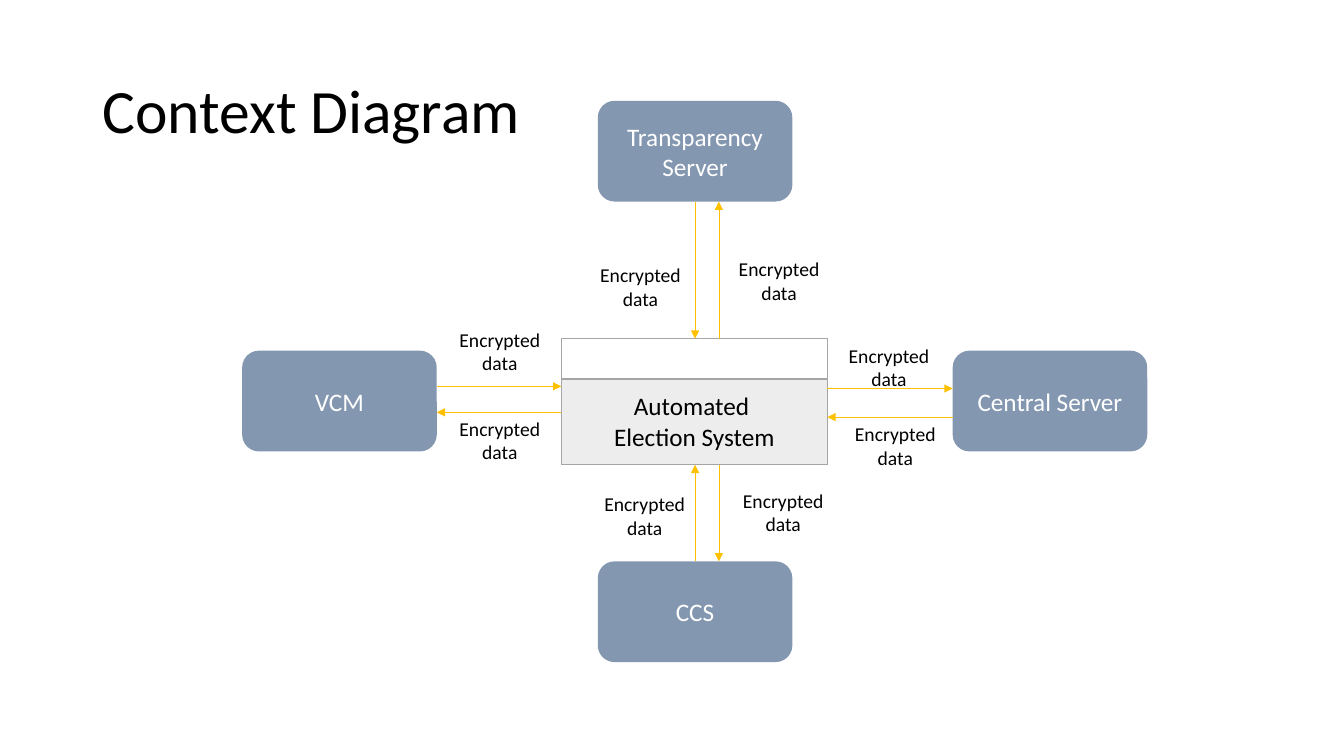
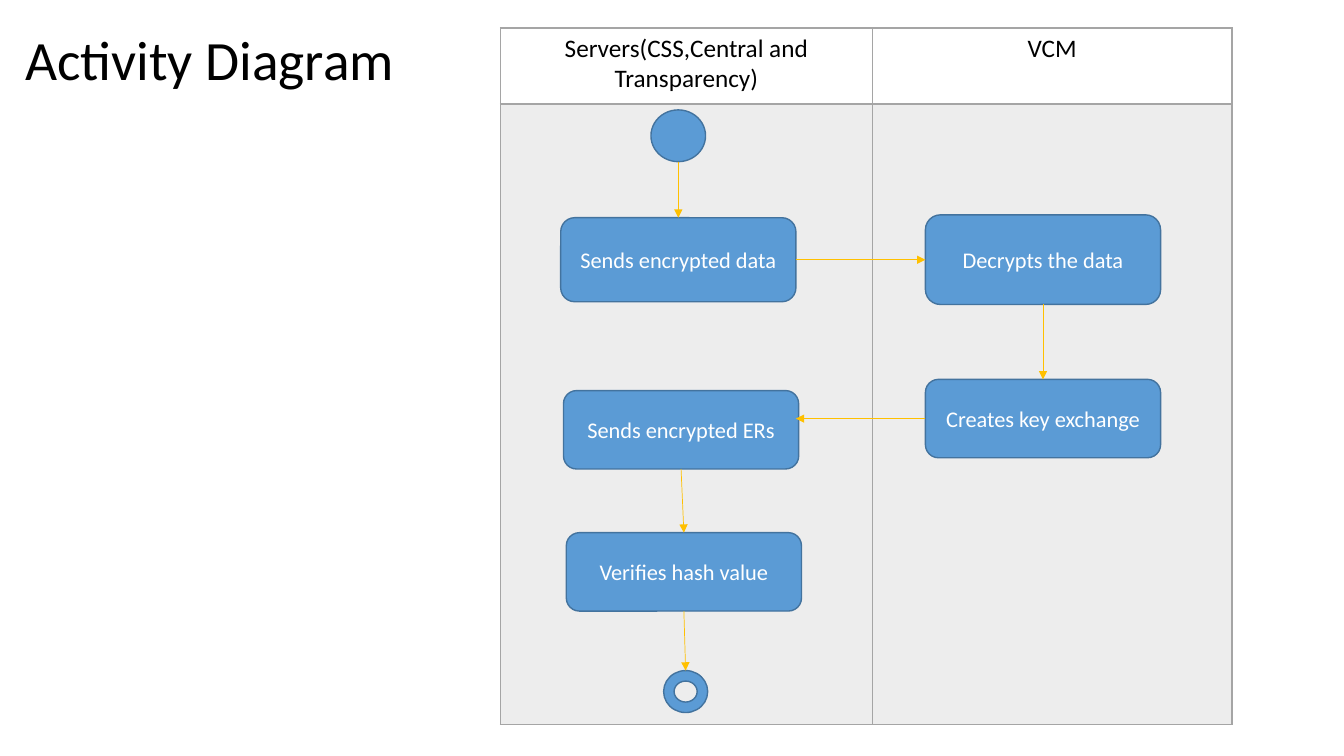
from lxml import etree
from pptx import Presentation
from pptx.dml.color import RGBColor
from pptx.enum.shapes import MSO_CONNECTOR, MSO_SHAPE
from pptx.enum.text import MSO_ANCHOR, PP_ALIGN
from pptx.oxml.ns import qn
from pptx.util import Pt

ROUND, OVAL, DONUT = MSO_SHAPE.ROUNDED_RECTANGLE, MSO_SHAPE.OVAL, MSO_SHAPE.DONUT
STRAIGHT = MSO_CONNECTOR.STRAIGHT
LEFT, CENTER = PP_ALIGN.LEFT, PP_ALIGN.CENTER
TOP, MIDDLE = MSO_ANCHOR.TOP, MSO_ANCHOR.MIDDLE

BLACK = RGBColor(0x00, 0x00, 0x00)
WHITE = RGBColor(0xFF, 0xFF, 0xFF)
GRAY = RGBColor(0xA5, 0xA5, 0xA5)
PALE = RGBColor(0xED, 0xED, 0xED)
SLATE = RGBColor(0x84, 0x97, 0xB0)
BLUE = RGBColor(0x5B, 0x9B, 0xD5)
NAVY = RGBColor(0x43, 0x73, 0x9E)
GOLD = RGBColor(0xFF, 0xC0, 0x00)

FONT = "Calibri"
TOP_SIDE, LEFT_SIDE, BOTTOM_SIDE, RIGHT_SIDE = range(4)


class Deck:
    """Holds the style and the current slide; all lengths are points."""

    def __init__(self):
        self.show = Presentation()
        self.show.slide_width, self.show.slide_height = Pt(960), Pt(540)
        self.slide = None

    def page(self):
        self.slide = self.show.slides.add_slide(self.show.slide_layouts[6])

    def put_lines(self, frame, lines, size, color=BLACK, align=CENTER):
        for i, line in enumerate(lines):
            para = frame.paragraphs[0] if i == 0 else frame.add_paragraph()
            para.alignment = align
            run = para.add_run()
            run.text = line
            run.font.name, run.font.size = FONT, Pt(size)
            run.font.color.rgb = color

    def text(self, line, x, y, w, h, size, align=CENTER, anchor=TOP):
        box = self.slide.shapes.add_textbox(Pt(x), Pt(y), Pt(w), Pt(h))
        frame = box.text_frame
        frame.word_wrap, frame.vertical_anchor = True, anchor
        self.put_lines(frame, [line], size, align=align)
        return frame

    def title(self, line, x, y, w, h, size):
        frame = self.text(line, x, y, w, h, size, LEFT, MIDDLE)
        frame.paragraphs[0].line_spacing = 0.9

    def shape(self, kind, x, y, w, h, fill=BLUE, edge=NAVY, label=None, size=16):
        item = self.slide.shapes.add_shape(kind, Pt(x), Pt(y), Pt(w), Pt(h))
        item.shadow.inherit = False
        item.fill.solid()
        item.fill.fore_color.rgb = fill
        if edge is None:
            item.line.fill.background()
        else:
            item.line.color.rgb, item.line.width = edge, Pt(1)
        if label:
            item.text_frame.word_wrap = True
            item.text_frame.vertical_anchor = MIDDLE
            self.put_lines(item.text_frame, [label], size, WHITE)
        return item

    def arrow(self, start, end):
        """Each end is a point (x, y) or a joint (shape, side)."""
        tied = [not isinstance(spot[0], (int, float)) for spot in (start, end)]
        x1, y1 = (0, 0) if tied[0] else start
        x2, y2 = (0, 0) if tied[1] else end
        line = self.slide.shapes.add_connector(STRAIGHT, Pt(x1), Pt(y1), Pt(x2), Pt(y2))
        if tied[0]:
            line.begin_connect(*start)
        if tied[1]:
            line.end_connect(*end)
        line.line.color.rgb, line.line.width = GOLD, Pt(0.5)
        props = line._element.spPr
        etree.SubElement(props.find(qn("a:ln")), qn("a:tailEnd"), type="triangle")
        etree.SubElement(props, qn("a:effectLst"))

    def border(self, cell, widths):
        props = cell._tc.get_or_add_tcPr()
        for side, width in widths.items():
            line = etree.SubElement(props, qn("a:ln" + side), w=str(Pt(width)))
            fill = etree.SubElement(line, qn("a:solidFill"))
            etree.SubElement(fill, qn("a:srgbClr"), val=str(GRAY))

    def table(self, x, y, cols, rows, cells, anchor=TOP):
        """A white head row above gray body rows."""
        frame = self.slide.shapes.add_table(
            len(rows), len(cols), Pt(x), Pt(y), Pt(sum(cols)), Pt(sum(rows)))
        grid = frame.table
        grid.first_row = grid.horz_banding = False
        for c, width in enumerate(cols):
            grid.columns[c].width = Pt(width)
        for r, height in enumerate(rows):
            grid.rows[r].height = Pt(height)
            head = r == 0
            top, base = (1, 1.5) if head else (1.5, 1)
            for c, lines in enumerate(cells[r]):
                cell = grid.cell(r, c)
                self.border(cell, {"L": 1, "R": 1, "T": top, "B": base})
                cell.fill.solid()
                cell.fill.fore_color.rgb = WHITE if head else PALE
                cell.vertical_anchor = anchor
                self.put_lines(cell.text_frame, lines, 18)


def context(deck):
    deck.page()
    deck.title("Context Diagram", 66, 29, 828, 104.5, 44)

    # System in the middle
    left, top, wide, rows = 401, 242, 190, [29, 61]
    right, base = left + wide, top + sum(rows)
    deck.table(left, top, [wide], rows,
               [[[]], [["Automated ", "Election System"]]], MIDDLE)

    # Outer parties
    def party(label, x, y):
        return deck.shape(ROUND, x, y, 139, 72, SLATE, None, label, 18)

    vcm_x, mid_x, far_x = 173, 427, 680.5
    party("VCM", vcm_x, 250.5)
    upper = party("Transparency Server", mid_x, 72)
    party("Central Server", far_x, 250.5)
    lower = party("CCS", mid_x, 401)

    # Data flows
    axis, side = mid_x + 69.5, 513.5
    vcm_end = vcm_x + 139
    for start, end in [
        ((vcm_end, 276), (left, 276)),
        ((left, 294.5), (vcm_end, 294.5)),
        ((right, 277.5), (far_x, 277.5)),
        ((far_x, 298), (right, 298)),
        ((upper, BOTTOM_SIDE), (axis, top)),
        ((side, top), (side, 144)),
        ((lower, TOP_SIDE), (axis, base)),
        ((side, base), (side, 401)),
    ]:
        deck.arrow(start, end)

    # Flow labels
    for x, y in [(418, 184.5), (517, 180), (317.5, 294), (317.5, 230.5),
                 (595.5, 242), (600, 298), (520, 345.5), (421, 348)]:
        deck.text("Encrypted data", x, y, 79, 41, 14)


def activity(deck):
    deck.page()
    deck.title("Activity Diagram", 11, 11, 289.5, 67, 39.6)

    # Swim lanes
    deck.table(357.5, 20, [265.5, 257], [54, 443.5],
               [[["Servers(CSS,Central and Transparency)"], ["VCM"]], [[], []]])

    # Steps
    def step(label, x, y, h=56):
        return deck.shape(ROUND, x, y, 168, h, label=label)

    send = step("Sends encrypted data", 400.5, 155.5, 60)
    decrypt = step("Decrypts the data", 661, 153.5, 64)
    key = step("Creates key exchange", 661, 271)
    hash_box = step("Verifies hash value", 404.5, 380.5)
    result = step("Sends encrypted ERs", 402.5, 279)
    deck.shape(OVAL, 465, 78.5, 39, 37)
    final = deck.shape(DONUT, 474, 479, 31.5, 30)

    # Flow
    for start, end in [
        ((484.5, 115.5), (send, TOP_SIDE)),
        ((send, RIGHT_SIDE), (decrypt, LEFT_SIDE)),
        ((decrypt, BOTTOM_SIDE), (key, TOP_SIDE)),
        ((key, LEFT_SIDE), (568.5, 299)),
        ((result, BOTTOM_SIDE), (hash_box, TOP_SIDE)),
        ((hash_box, BOTTOM_SIDE), (final, TOP_SIDE)),
    ]:
        deck.arrow(start, end)


def main():
    deck = Deck()
    context(deck)
    activity(deck)
    deck.show.save("out.pptx")


if __name__ == "__main__":
    main()
